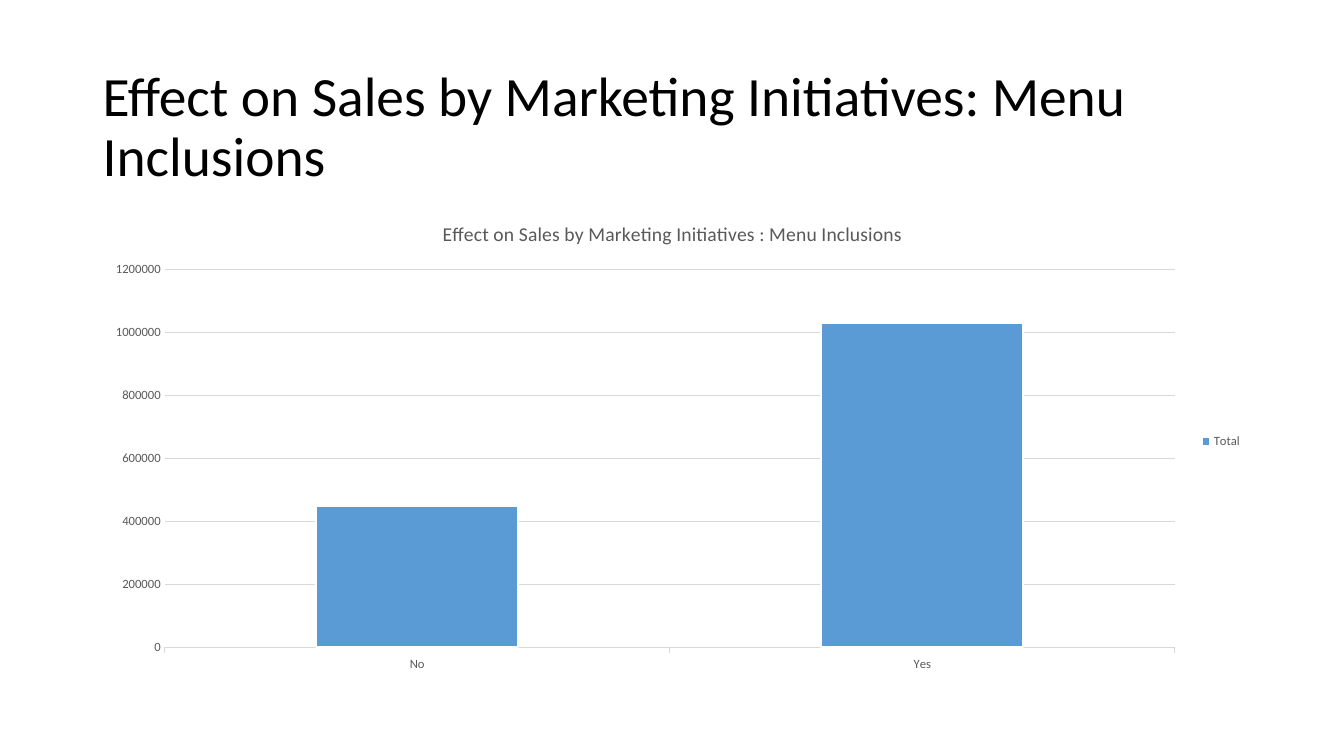
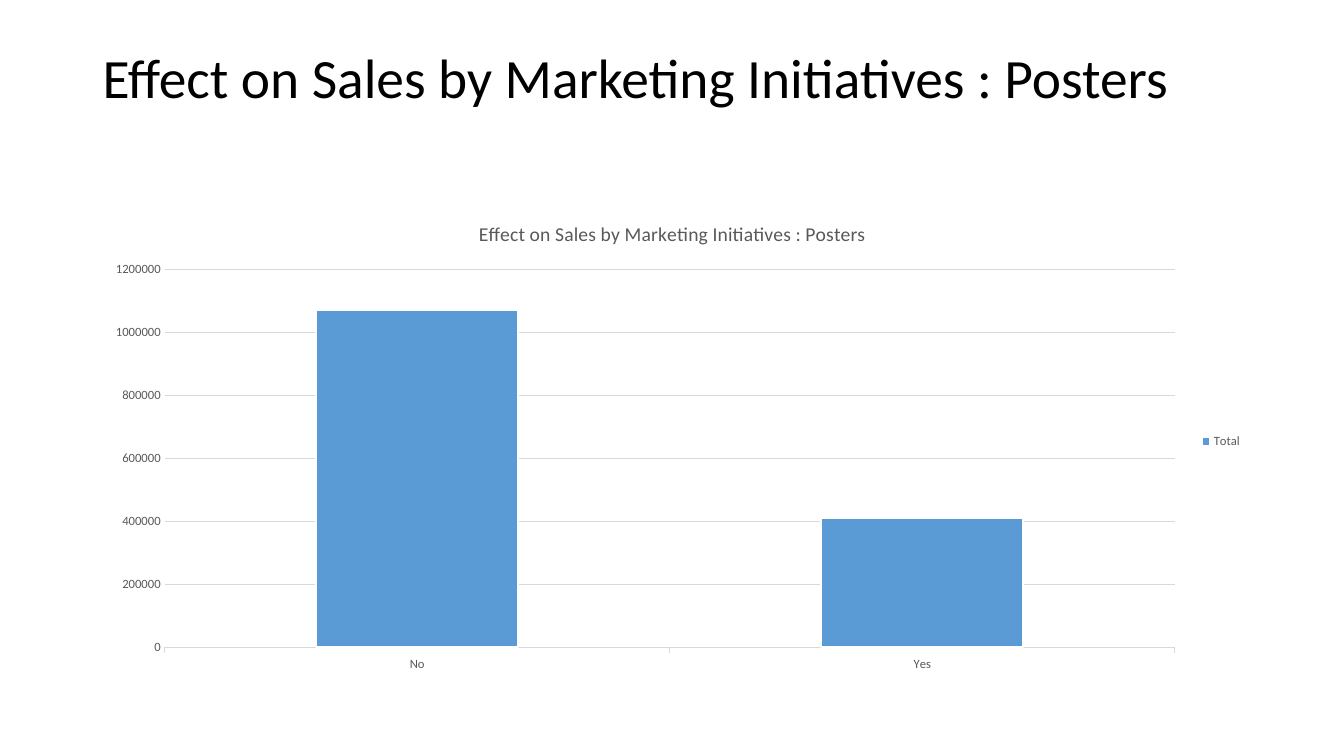
from pptx import Presentation
from pptx.chart.data import CategoryChartData
from pptx.dml.color import RGBColor
from pptx.enum.chart import XL_CHART_TYPE, XL_LEGEND_POSITION, XL_TICK_MARK
from pptx.enum.text import MSO_ANCHOR
from pptx.util import Inches, Pt

COLORS = {
    "title": "000000",
    "label": "595959",
    "rule": "D9D9D9",
    "column": "5B9BD5",
    "edge": "FFFFFF",
}
FONT = "Calibri"
LEFT, WIDTH = Inches(0.92), Inches(11.5)
TITLE_HEIGHT = Inches(1.45)
CHART_TOP, CHART_HEIGHT = Inches(2), Inches(4.76)

TITLE_FRAME = {
    "word_wrap": True,
    "vertical_anchor": MSO_ANCHOR.MIDDLE,
}
CATEGORY_AXIS = {
    "major_tick_mark": XL_TICK_MARK.OUTSIDE,
    "has_major_gridlines": False,
}
VALUE_AXIS = {
    "major_tick_mark": XL_TICK_MARK.NONE,
    "has_major_gridlines": True,
    "minimum_scale": 0,
    "maximum_scale": 1200000,
    "major_unit": 200000,
}
LEGEND = {
    "position": XL_LEGEND_POSITION.RIGHT,
    "include_in_layout": False,
}

INITIATIVES = [
    {
        "heading": "Effect on Sales by Marketing Initiatives: Menu Inclusions",
        "chart_title": "Effect on Sales by Marketing Initiatives : Menu Inclusions",
        "sales": (450000, 1030000),
        "title_top": Inches(0.55),
        "space_below": Inches(0.05),
    },
    {
        "heading": "Effect on Sales by Marketing Initiatives : Posters",
        "chart_title": "Effect on Sales by Marketing Initiatives : Posters",
        "sales": (1070000, 410000),
        "title_top": Inches(0.4),
        "space_below": Inches(0.7),
    },
]


def apply_format(target, values):
    """Set every attribute named in a dict of format values."""
    for name, value in values.items():
        setattr(target, name, value)


def rgb(part):
    """Return the colour of a named part."""
    return RGBColor.from_string(COLORS[part])


def style_font(font, size, part):
    """Give a font the shared typeface, a size and a colour."""
    apply_format(font, {"name": FONT, "size": Pt(size), "bold": False})
    font.color.rgb = rgb(part)


def style_line(line, part, width):
    """Give a line a colour and a width in points."""
    line.color.rgb = rgb(part)
    line.width = Pt(width)


def add_title(slide, heading, top, space_below):
    """Add the slide title."""
    frame = slide.shapes.add_textbox(LEFT, top, WIDTH, TITLE_HEIGHT).text_frame
    apply_format(frame, {**TITLE_FRAME, "margin_bottom": space_below})
    paragraph = frame.paragraphs[0]
    paragraph.line_spacing = 0.9
    heading_run = paragraph.add_run()
    heading_run.text = heading
    style_font(heading_run.font, 39.6, "title")


def style_axes(chart):
    """Format the category and value axes with their gridlines."""
    categories, values = chart.category_axis, chart.value_axis
    for axis, settings in ((categories, CATEGORY_AXIS), (values, VALUE_AXIS)):
        apply_format(axis, settings)
        style_font(axis.tick_labels.font, 9, "label")
    style_line(categories.format.line, "rule", 0.75)
    style_line(values.major_gridlines.format.line, "rule", 0.75)
    values.format.line.fill.background()


def style_columns(plot):
    """Format the columns of the sales series."""
    apply_format(plot, {"gap_width": 150, "vary_by_categories": False})
    total = plot.series[0]
    total.format.fill.solid()
    total.format.fill.fore_color.rgb = rgb("column")
    style_line(total.format.line, "edge", 1.5)


def add_sales_chart(slide, chart_title, sales):
    """Add the column chart that compares sales without and with the initiative."""
    sales_data = CategoryChartData()
    sales_data.categories = ("No", "Yes")
    sales_data.add_series("Total", sales)
    chart = slide.shapes.add_chart(
        XL_CHART_TYPE.COLUMN_CLUSTERED,
        LEFT, CHART_TOP, WIDTH, CHART_HEIGHT, sales_data,
    ).chart
    style_font(chart.font, 10, "title")
    apply_format(chart, {"has_title": True, "has_legend": True})
    chart.chart_title.include_in_layout = False
    title_run = chart.chart_title.text_frame.paragraphs[0].add_run()
    title_run.text = chart_title
    style_font(title_run.font, 14, "label")
    apply_format(chart.legend, LEGEND)
    style_font(chart.legend.font, 9, "label")
    style_axes(chart)
    style_columns(chart.plots[0])


def main():
    """Build one slide for each marketing initiative."""
    deck = Presentation()
    apply_format(deck, {"slide_width": Inches(13.33), "slide_height": Inches(7.5)})
    for initiative in INITIATIVES:
        slide = deck.slides.add_slide(deck.slide_layouts[6])
        add_title(
            slide, initiative["heading"],
            initiative["title_top"], initiative["space_below"],
        )
        add_sales_chart(slide, initiative["chart_title"], initiative["sales"])
    deck.save("out.pptx")


main()
